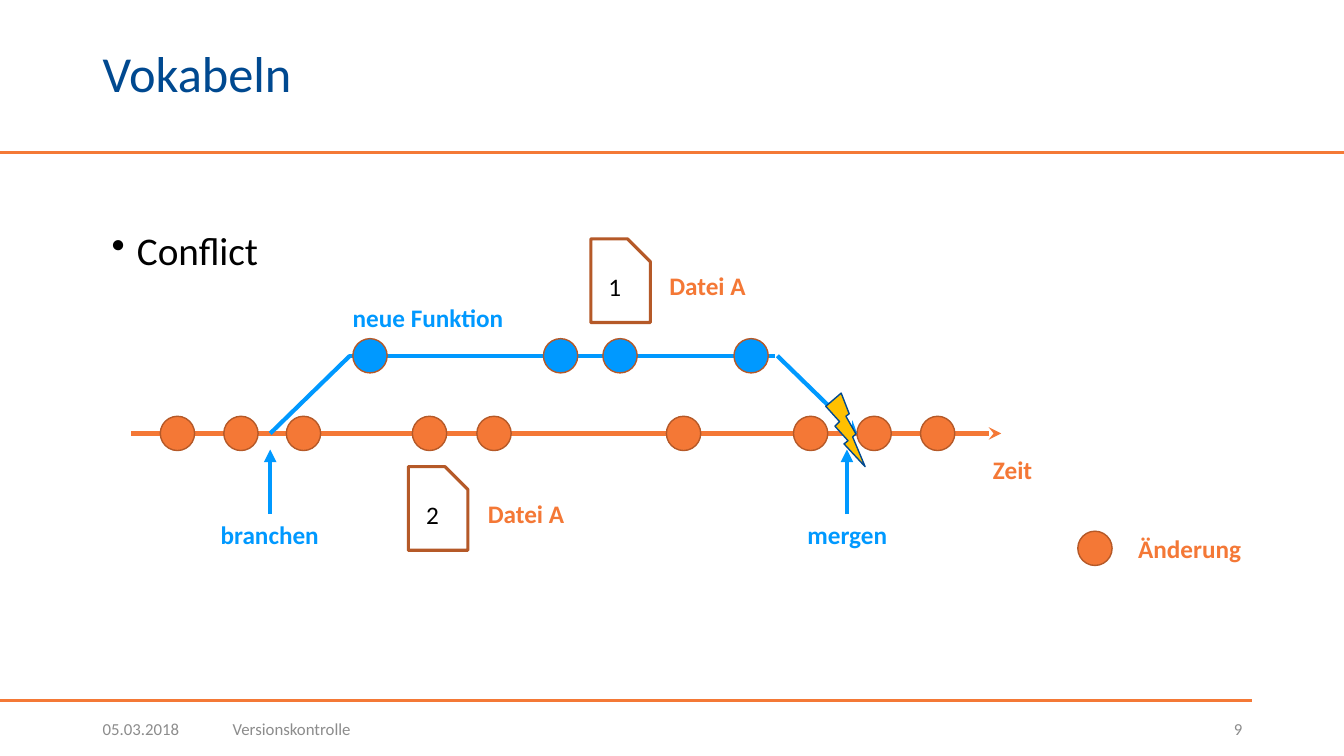
"""Build the slide 'Vokabeln': a merge conflict between a branch and the main line."""
from lxml import etree
from pptx import Presentation
from pptx.dml.color import RGBColor
from pptx.enum.shapes import MSO_CONNECTOR, MSO_SHAPE
from pptx.enum.text import MSO_ANCHOR, MSO_AUTO_SIZE, PP_ALIGN
from pptx.oxml.ns import qn
from pptx.util import Inches, Pt

STRAIGHT = MSO_CONNECTOR.STRAIGHT
OVAL, SNIPPED, BOLT = MSO_SHAPE.OVAL, MSO_SHAPE.SNIP_1_RECTANGLE, MSO_SHAPE.LIGHTNING_BOLT
TOP, MIDDLE = MSO_ANCHOR.TOP, MSO_ANCHOR.MIDDLE
LEFT, CENTER, RIGHT = PP_ALIGN.LEFT, PP_ALIGN.CENTER, PP_ALIGN.RIGHT
FIT_SHAPE = MSO_AUTO_SIZE.SHAPE_TO_FIT_TEXT

RULE_ORANGE = RGBColor(0xF4, 0x79, 0x36)
ORANGE = RGBColor(0xF4, 0x78, 0x36)
BROWN = RGBColor(0xB5, 0x59, 0x28)
BLUE = RGBColor(0x00, 0x99, 0xFF)
NAVY = RGBColor(0x00, 0x49, 0x90)
YELLOW = RGBColor(0xFF, 0xC0, 0x00)
GRAY = RGBColor(0x8C, 0x8C, 0x8C)
BLACK = RGBColor(0x00, 0x00, 0x00)
WHITE = RGBColor(0xFF, 0xFF, 0xFF)

FONT = "Calibri"
MAIN_Y, BRANCH_Y = 4.3, 3.53
BRANCH_X, MERGE_X = 2.68, 8.4
DOT = 0.34

prs = Presentation()
prs.slide_width, prs.slide_height = Inches(13.33), Inches(7.5)
slide = prs.slides.add_slide(prs.slide_layouts[6])
shapes = slide.shapes


def add_line(x1, y1, x2, y2, color, width=3, arrow=None):
    line = shapes.add_connector(STRAIGHT, Inches(x1), Inches(y1), Inches(x2), Inches(y2))
    line.line.color.rgb = color
    line.line.width = Pt(width)
    if arrow:
        etree.SubElement(line.line._get_or_add_ln(), qn("a:tailEnd"), type=arrow)
    etree.SubElement(line._element.spPr, qn("a:effectLst"))


def add_text(text, x, y, width, height, size, color, anchor=MIDDLE, align=LEFT):
    box = shapes.add_textbox(Inches(x), Inches(y), Inches(width), Inches(height))
    frame = box.text_frame
    frame.word_wrap = True
    frame.vertical_anchor = anchor
    paragraph = frame.paragraphs[0]
    paragraph.text = text
    paragraph.alignment = align
    paragraph.font.name = FONT
    paragraph.font.size = Pt(size)
    paragraph.font.color.rgb = color
    return frame


add_line(0, 1.51, 13.33, 1.51, RULE_ORANGE, 2)
add_line(0, 6.95, 12.42, 6.95, RULE_ORANGE, 2)

title = add_text("Vokabeln", 0.92, 0.17, 11.5, 1.18, 36, NAVY)
title.paragraphs[0].line_spacing = 0.9

conflict = add_text("Conflict", 1.01, 2.25, 11.41, 0.56, 28, BLACK, TOP).paragraphs[0]
conflict.line_spacing = 0.9
conflict.space_before = Pt(10)
bullet_format = conflict._p.get_or_add_pPr()
bullet_format.set("marL", str(Inches(0.25)))
bullet_format.set("indent", str(Inches(-0.25)))
bullet = etree.Element(qn("a:buChar"), char="•")
bullet_format.find(qn("a:defRPr")).addprevious(bullet)

for text, x, width, align in [
    ("05.03.2018", 0.92, 1.17, LEFT),
    ("Versionskontrolle", 2.21, 9.26, LEFT),
    ("9", 11.63, 0.79, RIGHT),
]:
    add_text(text, x, 7.03, width, 0.4, 12, GRAY, align=align)

add_line(3.46, BRANCH_Y, 7.69, BRANCH_Y, BLUE)
add_line(1.3, MAIN_Y, 9.93, MAIN_Y, ORANGE, arrow="stealth")

main_changes = [1.76, 2.39, 3.01, 4.26, 4.9, 6.78, 8.04, 8.67, 9.3]
branch_changes = [3.67, 5.56, 6.15, 7.45]
legend_change = [10.86]
for centers, y, color in [
    (main_changes, MAIN_Y, ORANGE),
    (branch_changes, BRANCH_Y, BLUE),
    (legend_change, 5.44, ORANGE),
]:
    for x in centers:
        change = shapes.add_shape(
            OVAL, Inches(x - DOT / 2), Inches(y - DOT / 2), Inches(DOT), Inches(DOT))
        change.shadow.inherit = False
        change.fill.solid()
        change.fill.fore_color.rgb = color
        change.line.color.rgb = BROWN
        change.line.width = Pt(1)

add_line(BRANCH_X, MAIN_Y, 3.47, BRANCH_Y, BLUE)
add_line(7.71, BRANCH_Y, 8.5, MAIN_Y, BLUE, arrow="stealth")
for x in (BRANCH_X, MERGE_X):
    add_line(x, 5.1, x, 4.46, BLUE, arrow="triangle")

for text, x, y, width, color in [
    ("Zeit", 9.75, 4.46, 0.59, ORANGE),
    ("Änderung", 11.19, 5.24, 1.23, ORANGE),
    ("branchen", 2.09, 5.1, 1.18, BLUE),
    ("mergen", 7.91, 5.1, 1, BLUE),
    ("neue Funktion", 3.4, 2.95, 1.71, BLUE),
    ("Datei A", 6.54, 2.63, 0.97, ORANGE),
    ("Datei A", 4.74, 4.89, 0.97, ORANGE),
]:
    label = add_text(text, x, y, width, 0.4, 18, color, TOP)
    label.word_wrap = False
    label.auto_size = FIT_SHAPE
    label.paragraphs[0].font.bold = True

for version, x, y in [("1", 5.86, 2.37), ("2", 4.05, 4.63)]:
    file_page = shapes.add_shape(SNIPPED, Inches(x), Inches(y), Inches(0.59), Inches(0.83))
    file_page.adjustments[0] = 0.384
    file_page.shadow.inherit = False
    file_page.fill.solid()
    file_page.fill.fore_color.rgb = WHITE
    file_page.line.color.rgb = BROWN
    file_page.line.width = Pt(2.25)
    file_page.text_frame.vertical_anchor = MIDDLE
    number = file_page.text_frame.paragraphs[0]
    number.text = version
    number.alignment = CENTER
    number.font.name = FONT
    number.font.size = Pt(18)
    number.font.color.rgb = BLACK

conflict_bolt = shapes.add_shape(BOLT, Inches(8.19), Inches(3.9), Inches(0.39), Inches(0.73))
conflict_bolt.shadow.inherit = False
conflict_bolt.fill.solid()
conflict_bolt.fill.fore_color.rgb = YELLOW
conflict_bolt.line.color.rgb = NAVY
conflict_bolt.line.width = Pt(1)

prs.save("out.pptx")
